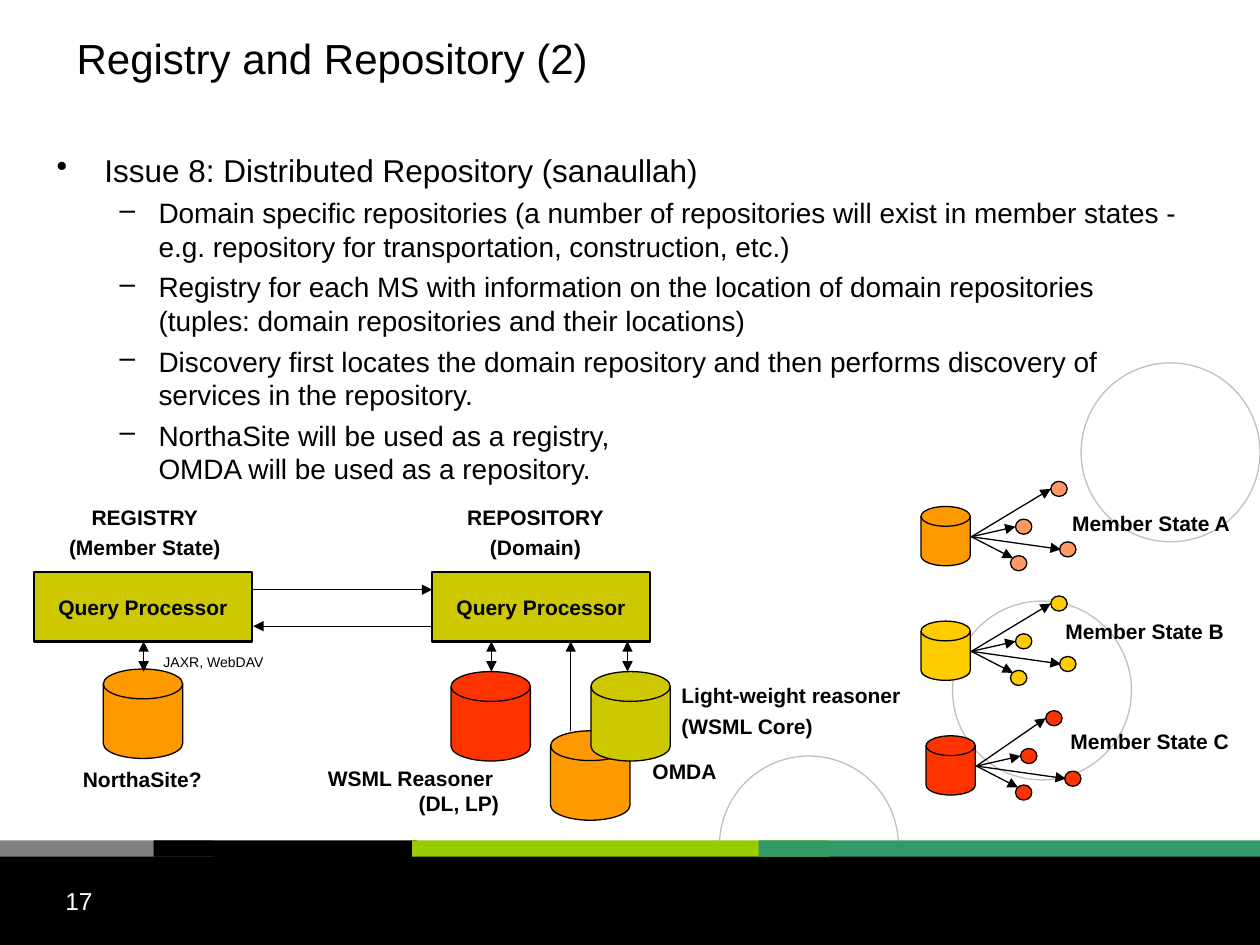
from pptx import Presentation
from pptx.dml.color import RGBColor
from pptx.enum.shapes import MSO_CONNECTOR, MSO_SHAPE
from pptx.enum.text import MSO_ANCHOR, PP_ALIGN
from pptx.oxml.ns import qn
from pptx.util import Inches, Pt
from lxml import etree

RECT, OVAL = MSO_SHAPE.RECTANGLE, MSO_SHAPE.OVAL
DISK = MSO_SHAPE.FLOWCHART_MAGNETIC_DISK
LEFT, CENTER, RIGHT = PP_ALIGN.LEFT, PP_ALIGN.CENTER, PP_ALIGN.RIGHT
TOP, MIDDLE = MSO_ANCHOR.TOP, MSO_ANCHOR.MIDDLE

BLACK, WHITE = RGBColor(0, 0, 0), RGBColor(255, 255, 255)
GRAY, SILVER = RGBColor(0x80, 0x80, 0x80), RGBColor(0xC0, 0xC0, 0xC0)
LIME, GREEN = RGBColor(0x99, 0xCC, 0), RGBColor(0x33, 0x99, 0x66)
ORANGE, SALMON = RGBColor(0xFF, 0x99, 0), RGBColor(0xFF, 0x99, 0x66)
OLIVE, YELLOW = RGBColor(0xCD, 0xC8, 0), RGBColor(0xFF, 0xCC, 0)
RED = RGBColor(0xFF, 0x33, 0)

# Content
TITLE = "Registry and Repository (2)"
BODY = [
    (0, "Issue 8: Distributed Repository (sanaullah)"),
    (1, "Domain specific repositories (a number of repositories will exist in "
        "member states - e.g. repository for transportation, construction, etc.)"),
    (1, "Registry for each MS with information on the location of domain "
        "repositories (tuples: domain repositories and their locations)"),
    (1, "Discovery first locates the domain repository and then performs "
        "discovery of services in the repository."),
    (1, "NorthaSite will be used as a registry, \vOMDA will be used as a repository."),
]
# level: bullet, size, left margin, hanging indent, space before
LEVELS = [("•", 18, 0.38, 0.38, 4.5), ("–", 16, 0.81, 0.31, 4)]

CIRCLES = [(5.71, 6), (7.56, 4.77), (8.58, 2.88)]
BANDS = [(0, 1.69, GRAY), (1.22, 2.09, BLACK), (3.27, 3.31, LIME), (6.02, 3.98, GREEN)]

# name, disk position, disk colour, dot colour, shift of the top dot, label position
STATES = [
    ("Member State A", (7.31, 4.02), ORANGE, SALMON, 0, (8.39, 3.99)),
    ("Member State B", (7.31, 4.93), YELLOW, YELLOW, 0, (8.34, 4.85)),
    ("Member State C", (7.35, 5.84), RED, RED, -0.08, (8.38, 5.72)),
]
# dot position and arrow end, both from the corner of the disk; top dot first
DOTS = [((1.03, -0.2), (1.03, -0.14)), ((0.71, 0.39), (0.73, 0.41)),
        ((1.1, 0.28), (1.11, 0.34)), ((0.75, 0.1), (0.75, 0.16))]

PROCESSORS = [0.27, 3.43]
STORES = [(4.37, 5.8, ORANGE), (4.69, 5.33, OLIVE), (3.58, 5.33, RED), (0.82, 5.31, ORANGE)]
# every box is wide enough to hold its longest line
LABELS = [
    (["OMDA"], (5.08, 5.96, 1.49, 0.32), LEFT),
    (["Light-weight reasoner", "(WSML Core)"], (5.31, 5.48, 2.1, 0.32), LEFT),
    (["WSML Reasoner \v(DL, LP)"], (2.06, 6.12, 2, 0.31), RIGHT),
    (["NorthaSite?"], (0.38, 6.03, 1.5, 0.31), CENTER),
    (["REGISTRY", "(Member State)"], (0.25, 3.99, 1.8, 0.47), CENTER),
    (["REPOSITORY", "(Domain)"], (3.35, 3.99, 1.8, 0.47), CENTER),
]
# start, end, arrowhead at both ends
ARROWS = [
    ((4.53, 5.8), (4.53, 5.09), False),
    ((3.9, 5.33), (3.9, 5.09), True),
    ((4.98, 5.33), (4.98, 5.09), True),
    ((1.14, 5.33), (1.14, 5.09), True),
    ((2.01, 4.68), (3.43, 4.68), False),
    ((3.43, 4.97), (2.01, 4.97), False),
]

prs = Presentation()
prs.slide_width, prs.slide_height = Inches(10), Inches(7.5)
s = prs.slides.add_slide(prs.slide_layouts[6])


def add_shape(kind, box, fill=None, line=BLACK, width=0.75):
    sp = s.shapes.add_shape(kind, *map(Inches, box))
    sp.shadow.inherit = False
    for fmt, color in ((sp.fill, fill), (sp.line.fill, line)):
        if color is None:
            fmt.background()
        else:
            fmt.solid()
            fmt.fore_color.rgb = color
    if line is not None:
        sp.line.width = Pt(width)
    return sp


def add_arrow(start, end, both=False):
    cx = s.shapes.add_connector(MSO_CONNECTOR.STRAIGHT, *map(Inches, start + end))
    cx.line.color.rgb, cx.line.width = BLACK, Pt(0.75)
    for tag in ("a:headEnd", "a:tailEnd") if both else ("a:tailEnd",):
        etree.SubElement(cx.line._ln, qn(tag), type="triangle")
    etree.SubElement(cx._element.spPr, qn("a:effectLst"))


def write(sp, lines, size=12, bold=True, color=BLACK, align=CENTER,
          anchor=MIDDLE, wrap=False, before=3):
    tf = sp.text_frame
    tf.word_wrap, tf.vertical_anchor = wrap, anchor
    for i, line in enumerate(lines):
        p = tf.paragraphs[0] if i == 0 else tf.add_paragraph()
        p.text = line
        p.alignment, p.space_before = align, Pt(before)
        font = {"name": "Arial", "size": Pt(size), "bold": bold}
        for r in p.runs:
            for key, value in font.items():
                setattr(r.font, key, value)
            r.font.color.rgb = color
    return tf


def add_text(box, lines, **fmt):
    return write(s.shapes.add_textbox(*map(Inches, box)), lines, **fmt)


# Background circles, footer and colour bands
for x, y in CIRCLES:
    add_shape(OVAL, (x, y, 1.42, 1.42), line=SILVER)
add_shape(RECT, (0, 6.75, 10, 0.75), BLACK, None)
for x, w, color in BANDS:
    add_shape(RECT, (x, 6.67, w, 0.13), color, None)

# Title, bullets and page number
plain = {"bold": False, "align": LEFT, "wrap": True}
add_text((0.51, 0, 7.83, 0.92), [TITLE], size=24, **plain)
tf = add_text((0.35, 1.15, 9.15, 2.76), [text for _, text in BODY], anchor=TOP, **plain)
for p, (level, _) in zip(tf.paragraphs, BODY):
    bullet, size, margin, hang, before = LEVELS[level]
    p.level, p.space_before = level, Pt(before)
    for r in p.runs:
        r.font.size = Pt(size)
    pPr = p._p.get_or_add_pPr()
    pPr.set("marL", str(Inches(margin)))
    pPr.set("indent", str(-Inches(hang)))
    etree.SubElement(pPr, qn("a:buChar"), char=bullet)
add_text((0.42, 6.98, 2.33, 0.52), ["17"], size=14, color=WHITE, anchor=TOP, **plain)

# Member states: a disk with arrows to its dots
for name, (x, y), disk_color, dot_color, shift, label in STATES:
    add_shape(DISK, (x, y, 0.39, 0.47), disk_color)
    for i, ((dx, dy), (ex, ey)) in enumerate(DOTS):
        move = x + (shift if i == 0 else 0)
        add_shape(OVAL, (move + dx, y + dy, 0.13, 0.12), dot_color)
        add_arrow((x + 0.4, y + 0.24), (move + ex, y + ey))
    add_text(label + (1.49, 0.32), [name])

# Registry and repository
for x in PROCESSORS:
    write(add_shape(RECT, (x, 4.54, 1.73, 0.55), OLIVE, width=1.5), ["Query Processor"])
for x, y, color in STORES:
    add_shape(DISK, (x, y, 0.63, 0.71), color)
for lines, box, align in LABELS:
    add_text(box, lines, align=align)
add_text((1.1, 5.17, 1.19, 0.16), ["JAXR, WebDAV"], size=8, bold=False, before=2)
for arrow in ARROWS:
    add_arrow(*arrow)

prs.save("out.pptx")
